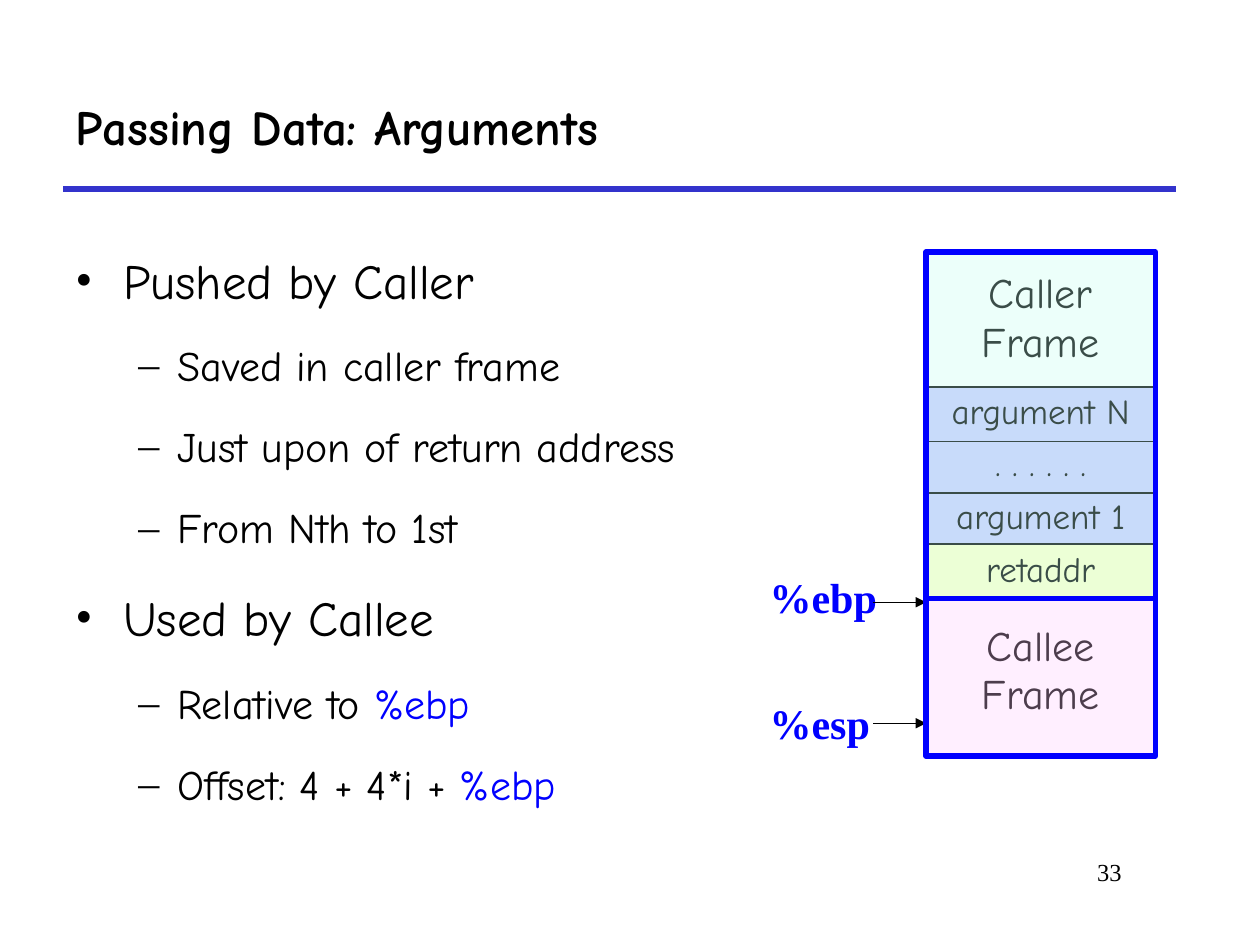
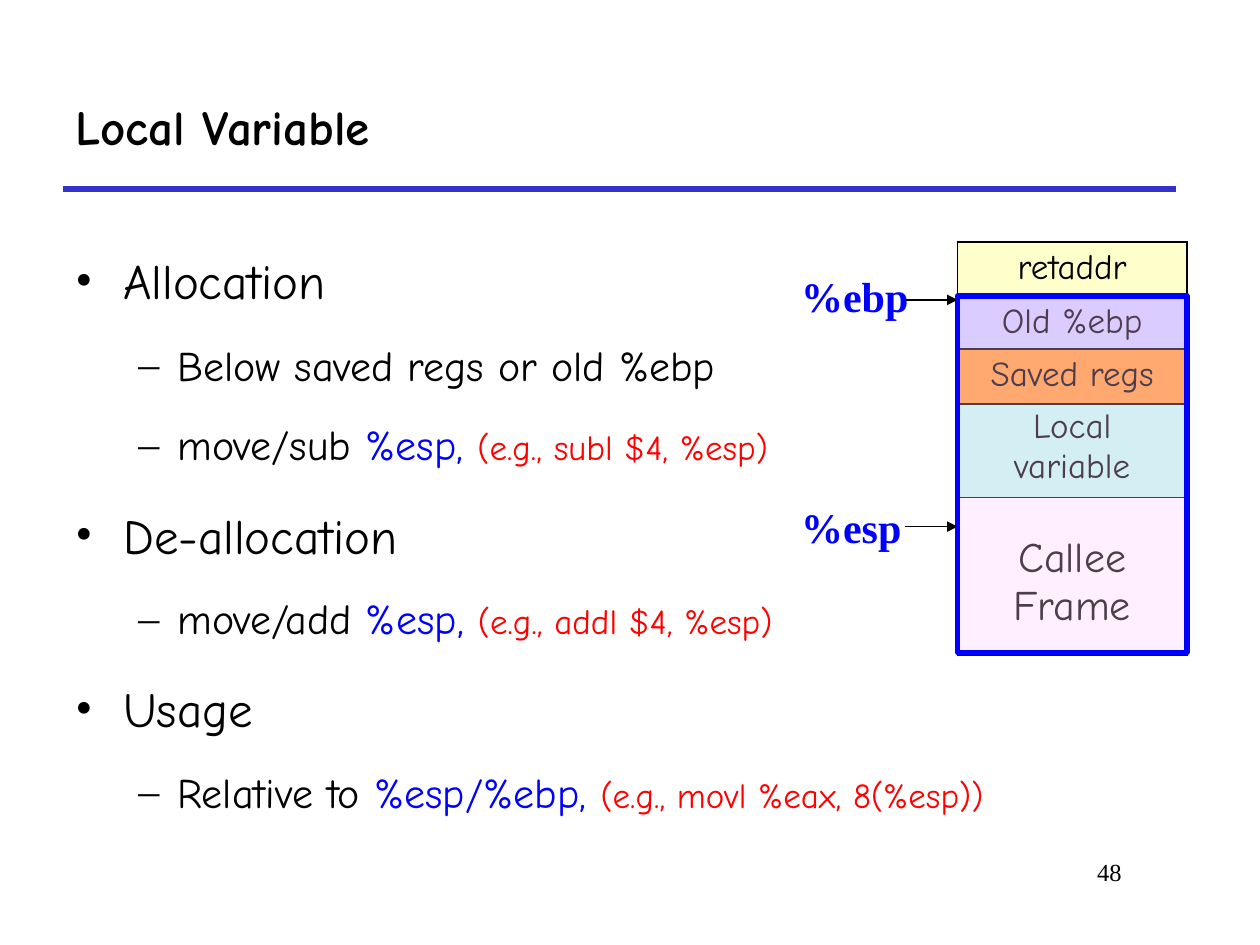
from lxml.etree import SubElement
from pptx import Presentation
from pptx.dml.color import RGBColor
from pptx.enum.shapes import MSO_CONNECTOR, MSO_SHAPE
from pptx.enum.text import MSO_ANCHOR, MSO_AUTO_SIZE, PP_ALIGN
from pptx.oxml.ns import qn
from pptx.util import Emu, Pt

SCALE = 9144  # EMU per px, 100 px to the inch

BLACK = RGBColor(0x00, 0x00, 0x00)
BLUE = RGBColor(0x00, 0x00, 0xFF)
RED = RGBColor(0xFF, 0x00, 0x00)
RULE_BLUE = RGBColor(0x33, 0x33, 0xCC)
LAVENDER = RGBColor(0xCC, 0xCC, 0xFF)
CREAM = RGBColor(0xFF, 0xFF, 0xCC)
ORANGE = RGBColor(0xFF, 0x99, 0x33)
MINT = RGBColor(0xC2, 0xFF, 0xF0)
PINK = RGBColor(0xFF, 0xCC, 0xFF)

HAND = "Comic Neue"
SERIF = "Times New Roman"

STACK_WIDTH = 182
ROW_HEIGHT = 43
# per level: bullet, left margin, hanging indent, size, space before
LEVELS = [("•", 38, 38, 28, 7), ("–", 81, 31, 24, 6)]
NOTE_SIZE = 20


def px(length):
    return Emu(length * SCALE)


def style(font, name, size, color=BLACK, bold=False):
    font.name, font.size, font.bold = name, Pt(size), bold
    font.color.rgb = color


def add_solid_fill(parent, color):
    fill = SubElement(parent, qn("a:solidFill"))
    return SubElement(fill, qn("a:srgbClr"), val=str(color))


class Deck:
    """Holds the presentation, its shared style and the current slide."""

    def __init__(self):
        self.prs = Presentation()
        self.prs.slide_width, self.prs.slide_height = px(1000), px(750)

    def start_slide(self, heading, number):
        self.slide = self.prs.slides.add_slide(self.prs.slide_layouts[5])
        self.shapes = self.slide.shapes
        self.line(50, 150, 933, 150, RULE_BLUE, 3)
        title = self.shapes.title
        title.left, title.top, title.width, title.height = map(px, (50, 50, 883, 100))
        frame = title.text_frame
        frame.text = heading
        frame.auto_size = MSO_AUTO_SIZE.NONE
        frame.vertical_anchor = MSO_ANCHOR.MIDDLE
        frame.paragraphs[0].alignment = PP_ALIGN.LEFT
        style(frame.paragraphs[0].runs[0].font, HAND, 28, bold=True)
        self.text(758, 675, 142, 50, str(number), 14, align=PP_ALIGN.RIGHT)

    def line(self, x1, y1, x2, y2, color=BLACK, weight=0.75, arrow=False):
        line = self.shapes.add_connector(
            MSO_CONNECTOR.STRAIGHT, px(x1), px(y1), px(x2), px(y2))
        line.line.color.rgb, line.line.width = color, Pt(weight)
        if arrow:
            SubElement(line.line._get_or_add_ln(), qn("a:tailEnd"), type="triangle")
        SubElement(line._element.spPr, qn("a:effectLst"))

    def text(self, x, y, w, h, words, size, color=BLACK, bold=False,
             align=PP_ALIGN.LEFT, wrap=True):
        frame = self.shapes.add_textbox(px(x), px(y), px(w), px(h)).text_frame
        frame.word_wrap = wrap
        frame.text = words
        frame.paragraphs[0].alignment = align
        style(frame.paragraphs[0].runs[0].font, SERIF, size, color, bold)

    def bullets(self, items):
        """Each item is a level followed by its (text, colour) runs; red runs are notes."""
        frame = self.shapes.add_textbox(px(50), px(175), px(917), px(483)).text_frame
        frame.word_wrap = True
        for i, (level, *parts) in enumerate(items):
            bullet, margin, hang, size, space = LEVELS[level]
            para = frame.add_paragraph() if i else frame.paragraphs[0]
            para.level = level
            props = para._p.get_or_add_pPr()
            props.set("marL", str(px(margin)))
            props.set("indent", str(px(-hang)))
            SubElement(SubElement(props, qn("a:buClr")), qn("a:srgbClr"), val=str(BLACK))
            SubElement(props, qn("a:buFont"), typeface=SERIF)
            SubElement(props, qn("a:buChar"), char=bullet)
            para.line_spacing = 1.4
            has_note = parts[-1][1] == RED
            if i:
                para.space_before = Pt(space - has_note)
            for words, color in parts:
                run = para.add_run()
                run.text = words
                style(run.font, HAND, NOTE_SIZE if color == RED else size, color)

    def cell(self, x, y, words, fill=None, height=ROW_HEIGHT, size=20, drop=0):
        """One bordered stack cell; drop pushes its text down."""
        table = self.shapes.add_table(
            1, 1, px(x), px(y), px(STACK_WIDTH), px(height)).table
        table.first_row = table.horz_banding = False
        cell = table.cell(0, 0)
        cell.margin_left = cell.margin_right = px(10)
        cell.margin_top, cell.margin_bottom = px(5 + drop), px(5)
        cell.text_frame.text = words
        para = cell.text_frame.paragraphs[0]
        para.alignment = PP_ALIGN.CENTER
        for run in para.runs:
            style(run.font, HAND, size)
        props = cell._tc.get_or_add_tcPr()
        for side in ("lnL", "lnR", "lnT", "lnB"):
            add_solid_fill(SubElement(props, qn(f"a:{side}"), w=str(Pt(1.08))), BLACK)
        if fill is None:
            cell.fill.background()
        else:
            cell.fill.solid()
            cell.fill.fore_color.rgb = fill

    def frame(self, x, y, height, tint):
        """A blue outline with a 30 % tint over the stack cells."""
        box = self.shapes.add_shape(
            MSO_SHAPE.RECTANGLE, px(x), px(y), px(STACK_WIDTH), px(height))
        box.shadow.inherit = False
        box.fill.solid()
        box.fill.fore_color.rgb = tint
        color = box._element.spPr.find(qn("a:solidFill"))[0]
        SubElement(color, qn("a:alpha"), val="30000")
        box.line.color.rgb, box.line.width = BLUE, Pt(3)

    def pointer(self, stack_x, register, top, arrow_y):
        self.text(stack_x - 134, top, 105, 50, register, 24, BLUE, True, wrap=False)
        self.line(stack_x - 42, arrow_y, stack_x, arrow_y, arrow=True)


def build_arguments(deck):
    deck.start_slide("Passing Data: Arguments", 33)
    x = 735
    for y, words in ((390, "argument 1"), (348, ". . . . . ."), (307, "argument N")):
        deck.cell(x, y, words, LAVENDER)
    deck.bullets([
        (0, ("Pushed by Caller", BLACK)),
        (1, ("Saved in caller frame", BLACK)),
        (1, ("Just upon of return address", BLACK)),
        (1, ("From Nth to 1st", BLACK)),
        (0, ("Used by Callee", BLACK)),
        (1, ("Relative to ", BLACK), ("%ebp", BLUE)),
        (1, ("Offset: 4 + 4*i + ", BLACK), ("%ebp", BLUE)),
    ])
    deck.cell(x, 475, "Callee\vFrame", height=125, size=24, drop=15)
    deck.pointer(x, "%ebp", 449, 478)
    deck.pointer(x, "%esp", 549, 574)
    deck.cell(x, 432, "retaddr", CREAM)
    deck.cell(x, 200, "Caller\vFrame", height=275, size=24, drop=10)
    deck.frame(x, 200, 275, MINT)
    deck.frame(x, 475, 125, PINK)


def build_local_variable(deck):
    deck.start_slide("Local Variable", 48)
    x = 760
    deck.cell(x, 235, "Old %ebp", LAVENDER)
    deck.cell(x, 318, "Local variable", MINT, height=77)
    deck.cell(x, 277, "Saved regs", ORANGE)
    deck.bullets([
        (0, ("Allocation", BLACK)),
        (1, ("Below saved regs or old %ebp", BLACK)),
        (1, ("move/sub ", BLACK), ("%esp, ", BLUE), ("(e.g., subl $4, %esp)", RED)),
        (0, ("De-allocation", BLACK)),
        (1, ("move/add ", BLACK), ("%esp, ", BLUE), ("(e.g., addl $4, %esp)", RED)),
        (0, ("Usage", BLACK)),
        (1, ("Relative to ", BLACK), ("%esp/%ebp, ", BLUE),
         ("(e.g., movl %eax, 8(%esp))", RED)),
    ])
    deck.cell(x, 235, "Callee\vFrame", height=285, size=24, drop=184)
    deck.pointer(x, "%ebp", 210, 238)
    deck.pointer(x, "%esp", 393, 418)
    deck.cell(x, 192, "retaddr", CREAM)
    deck.frame(x, 235, 283, PINK)


def main():
    deck = Deck()
    build_arguments(deck)
    build_local_variable(deck)
    deck.prs.save("out.pptx")


if __name__ == "__main__":
    main()
